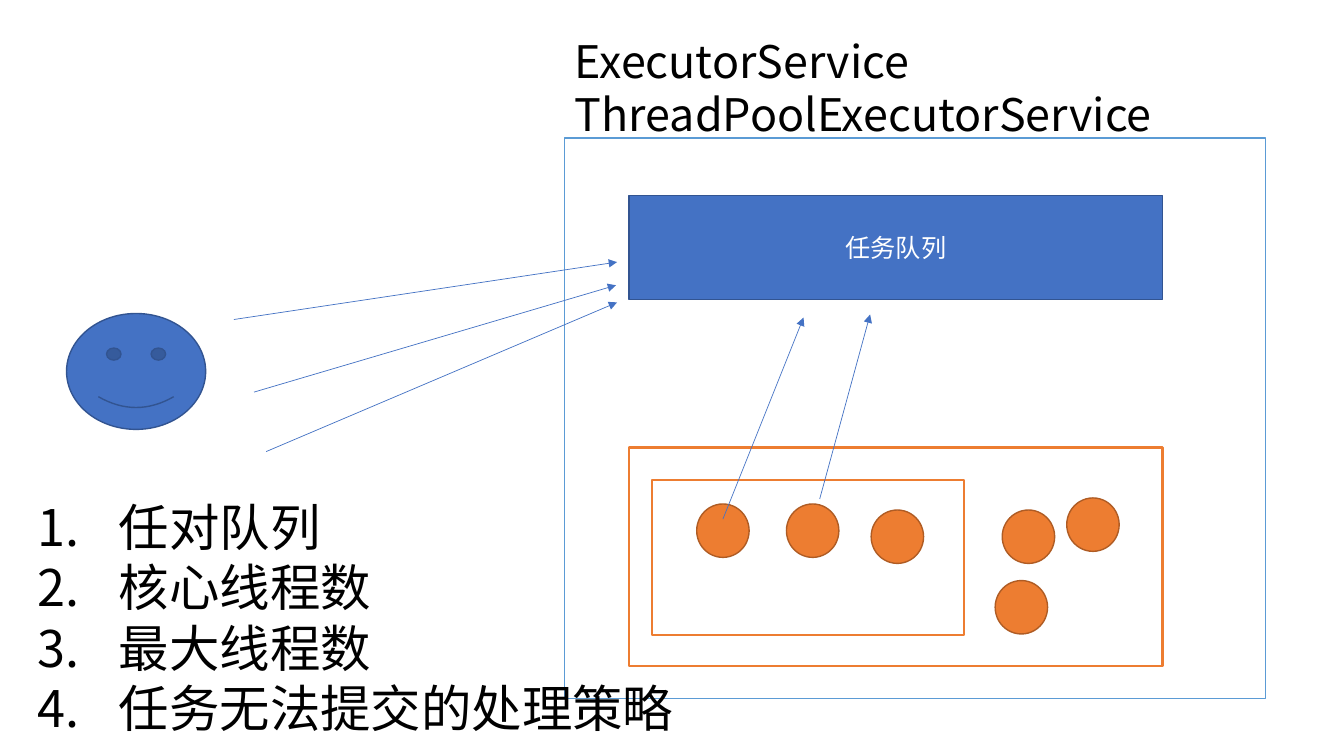
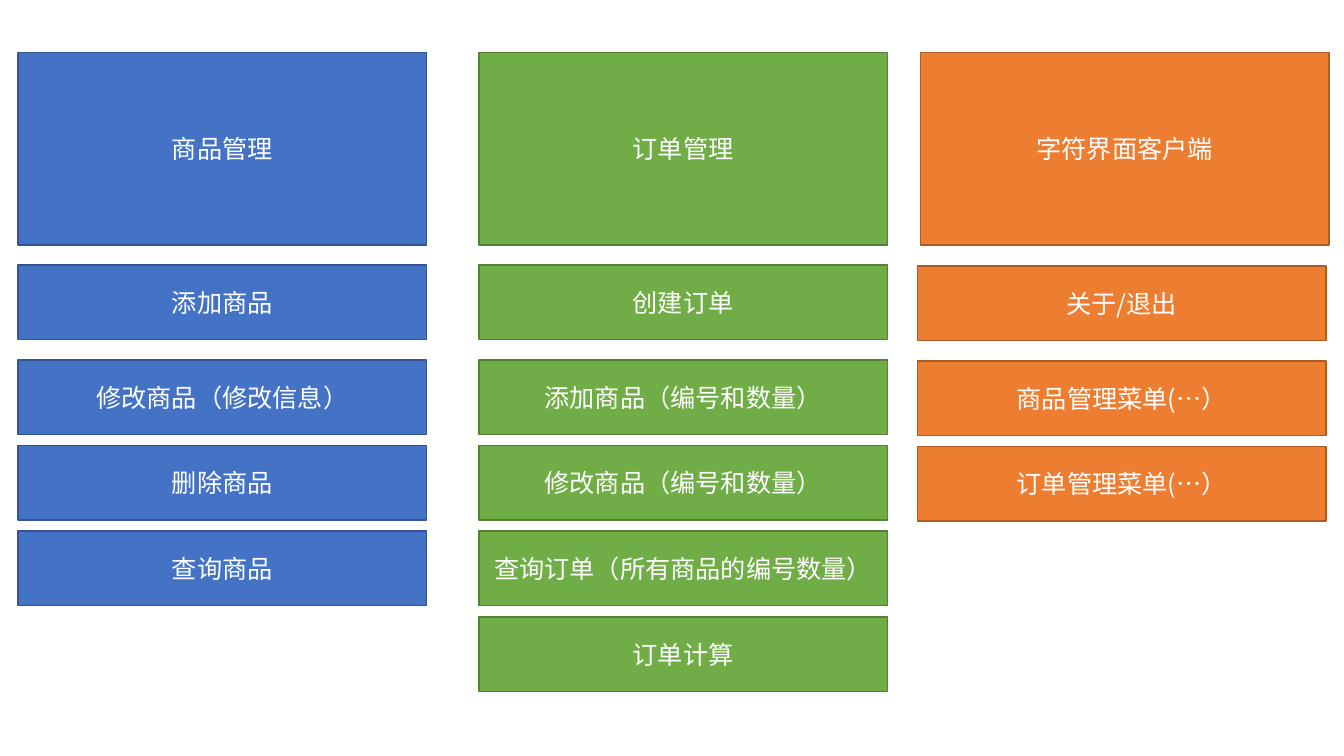
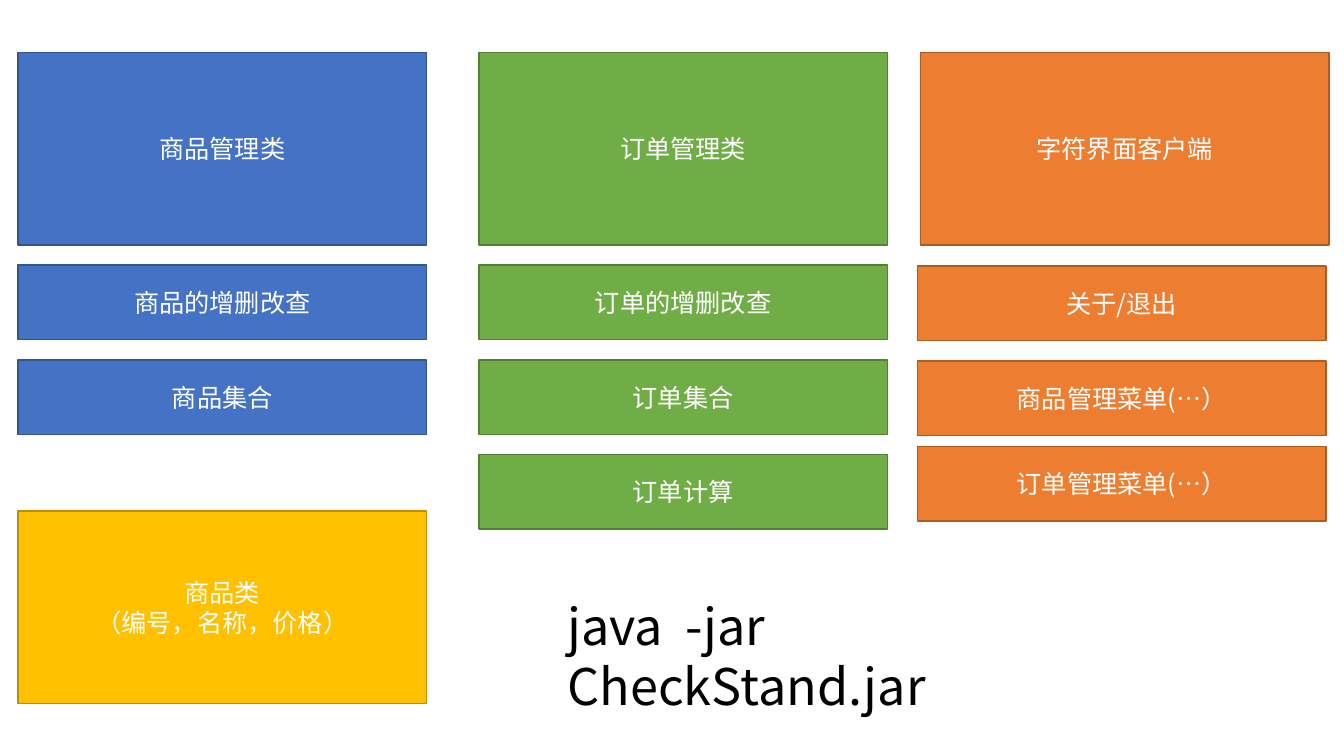
from pptx import Presentation
from pptx.dml.color import RGBColor
from pptx.enum.shapes import MSO_CONNECTOR, MSO_SHAPE
from pptx.enum.text import MSO_ANCHOR, MSO_AUTO_SIZE, PP_ALIGN
from pptx.oxml.ns import qn
from pptx.util import Inches, Pt
from lxml import etree

RECT, OVAL, SMILEY = MSO_SHAPE.RECTANGLE, MSO_SHAPE.OVAL, MSO_SHAPE.SMILEY_FACE
STRAIGHT = MSO_CONNECTOR.STRAIGHT
TOP, MIDDLE = MSO_ANCHOR.TOP, MSO_ANCHOR.MIDDLE
LEFT, CENTER = PP_ALIGN.LEFT, PP_ALIGN.CENTER
NO_AUTOFIT = MSO_AUTO_SIZE.NONE
TITLE_ONLY, BLANK = 5, 6

FONT = "Noto Sans CJK SC"
COLORS = {
    "white": "FFFFFF", "black": "000000", "sky": "5B9BD5",
    "blue": "4472C4", "blue_edge": "325491",
    "green": "70AD47", "green_edge": "538035",
    "orange": "ED7D31", "orange_edge": "AF5C24",
    "gold": "FFC000", "gold_edge": "BD8E00",
}

CARD_W, HEAD_H, ROW_H = 4.05, 1.91, 0.74
HEAD_TOP, ROW_TOP = 0.52, 2.63
FIRST_STEP, ROW_STEP = 0.94, 0.85
BLUE_X, GREEN_X, ORANGE_X = 0.18, 4.75, 9.13
CLIENT_MENU = ["关于/退出", "商品管理菜单(…）", "订单管理菜单(…）"]


def rgb(name):
    return RGBColor.from_string(COLORS[name])


def write(shape, lines, size, color, align=LEFT, anchor=TOP):
    tf = shape.text_frame
    tf.word_wrap = True
    tf.auto_size = NO_AUTOFIT
    tf.vertical_anchor = anchor
    tf.text = "\n".join(lines)
    for p in tf.paragraphs:
        p.alignment = align
        p.line_spacing = 1.0
        for r in p.runs:
            r.font.size = Pt(size)
            r.font.name = FONT
            r.font.color.rgb = rgb(color)
            ea = etree.SubElement(r.font._element, qn("a:ea"))
            ea.set("typeface", FONT)


def number_paragraphs(tf, indent):
    for p in tf.paragraphs:
        pPr = p._p.get_or_add_pPr()
        pPr.set("marL", str(Inches(indent)))
        pPr.set("indent", str(-Inches(indent)))
        etree.SubElement(pPr, qn("a:buFont")).set("typeface", "+mj-lt")
        etree.SubElement(pPr, qn("a:buAutoNum")).set("type", "arabicPeriod")


def add_shape(s, kind, x, y, w, h, fill, edge, weight=1):
    shape = s.shapes.add_shape(kind, Inches(x), Inches(y), Inches(w), Inches(h))
    shape.shadow.inherit = False
    shape.fill.solid()
    shape.fill.fore_color.rgb = rgb(fill)
    shape.line.color.rgb = rgb(edge)
    shape.line.width = Pt(weight)
    return shape


def add_card(s, x, y, w, h, color, *lines):
    card = add_shape(s, RECT, x, y, w, h, color, color + "_edge")
    write(card, lines, 18, "white", CENTER, MIDDLE)


def add_text(s, x, y, w, h, lines, size):
    box = s.shapes.add_textbox(Inches(x), Inches(y), Inches(w), Inches(h))
    write(box, lines, size, "black")
    return box


def add_arrow(s, x1, y1, x2, y2):
    arrow = s.shapes.add_connector(
        STRAIGHT, Inches(x1), Inches(y1), Inches(x2), Inches(y2))
    arrow.line.color.rgb = rgb("blue")
    arrow.line.width = Pt(0.5)
    etree.SubElement(arrow.line._get_or_add_ln(), qn("a:tailEnd")).set("type", "triangle")
    etree.SubElement(arrow._element.spPr, qn("a:effectLst"))


def add_column(s, x, color, head, rows, row_step=ROW_STEP, shift=(0, 0)):
    """Head card with rows below; shift moves the rows against the head."""
    add_card(s, x, HEAD_TOP, CARD_W, HEAD_H, color, head)
    dx, dy = shift
    for i, text in enumerate(rows):
        y = ROW_TOP + dy
        if i:
            y += FIRST_STEP + (i - 1) * row_step
        add_card(s, x + dx, y, CARD_W, ROW_H, color, text)


def add_client_column(s):
    add_column(s, ORANGE_X, "orange", "字符界面客户端", CLIENT_MENU, shift=(-0.03, 0.01))


def thread_pool_slide(prs):
    s = prs.slides.add_slide(prs.slide_layouts[TITLE_ONLY])
    title = s.shapes.title
    title.left, title.top = Inches(5.6), Inches(0.28)
    title.width, title.height = Inches(7.08), Inches(1.18)
    write(title, ["ExecutorService", "ThreadPoolExecutorService"], 32, "black")

    add_shape(s, SMILEY, 0.66, 3.11, 1.38, 1.15, "blue", "blue_edge")
    add_shape(s, RECT, 5.6, 1.37, 6.95, 5.56, "white", "sky")
    add_card(s, 6.24, 1.94, 5.29, 1.03, "blue", "任务队列")
    add_shape(s, RECT, 6.24, 4.44, 5.29, 2.17, "white", "orange", 1.5)
    add_shape(s, RECT, 6.47, 4.76, 3.09, 1.54, "white", "orange", 1.5)

    threads = [(6.91, 5), (7.8, 5), (8.64, 5.06),
               (9.94, 5.06), (9.87, 5.76), (10.58, 4.94)]
    for x, y in threads:
        add_shape(s, OVAL, x, y, 0.52, 0.53, "orange", "orange_edge")

    submits = [(2.32, 3.17, 6.12, 2.6), (2.52, 3.89, 6.11, 2.83), (2.64, 4.48, 6.12, 3)]
    fetches = [(7.17, 5.15, 7.97, 3.15), (8.13, 4.95, 8.63, 3.12)]
    for ends in submits + fetches:
        add_arrow(s, *ends)

    settings = ["任对队列", "核心线程数", "最大线程数", "任务无法提交的处理策略"]
    box = add_text(s, 0.27, 4.87, 6.58, 2.52, settings, 36)
    number_paragraphs(box.text_frame, 0.81)


def features_slide(prs):
    s = prs.slides.add_slide(prs.slide_layouts[BLANK])
    add_column(s, BLUE_X, "blue", "商品管理",
               ["添加商品", "修改商品（修改信息）", "删除商品", "查询商品"])
    add_column(s, GREEN_X, "green", "订单管理",
               ["创建订单", "添加商品（编号和数量）", "修改商品（编号和数量）",
                "查询订单（所有商品的编号数量）", "订单计算"])
    add_client_column(s)


def classes_slide(prs):
    s = prs.slides.add_slide(prs.slide_layouts[BLANK])
    add_column(s, BLUE_X, "blue", "商品管理类", ["商品的增删改查", "商品集合"])
    add_column(s, GREEN_X, "green", "订单管理类",
               ["订单的增删改查", "订单集合", "订单计算"], row_step=FIRST_STEP)
    add_client_column(s)
    add_card(s, BLUE_X, 5.07, CARD_W, HEAD_H, "gold", "商品类", "（编号，名称，价格）")
    add_text(s, 5.53, 5.85, 5.6, 0.71, ["java  -jar  CheckStand.jar"], 36)


def main():
    prs = Presentation()
    prs.slide_width, prs.slide_height = Inches(13.33), Inches(7.5)
    thread_pool_slide(prs)
    features_slide(prs)
    classes_slide(prs)
    prs.save("out.pptx")


if __name__ == "__main__":
    main()
